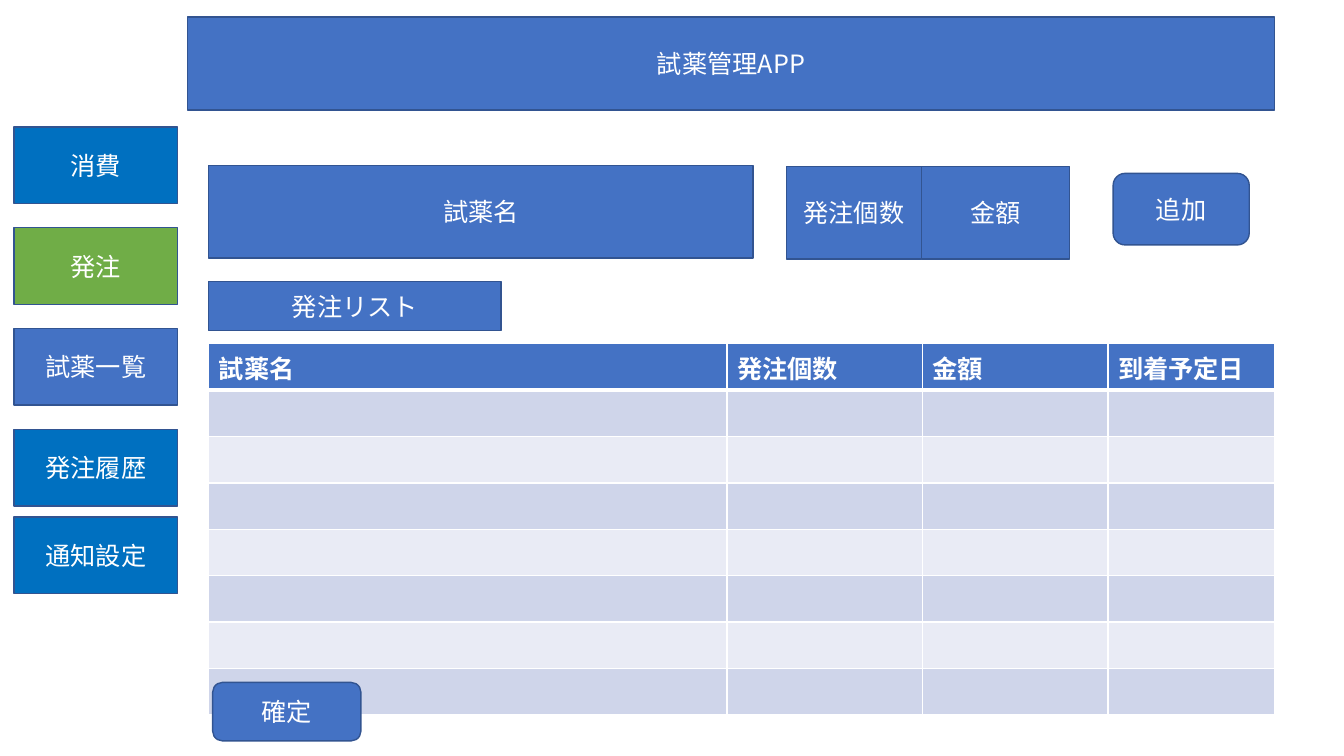
from dataclasses import dataclass

from lxml import etree
from pptx import Presentation
from pptx import util as u
from pptx.dml.color import RGBColor
from pptx.enum import shapes, text
from pptx.oxml import ns

FONT = "Noto Sans CJK JP"
WHITE = RGBColor(0xFF, 0xFF, 0xFF)
BLUE = RGBColor(0x44, 0x72, 0xC4)
BRIGHT_BLUE = RGBColor(0x00, 0x70, 0xC0)
GREEN = RGBColor(0x70, 0xAD, 0x47)
OUTLINE = RGBColor(0x32, 0x54, 0x91)
BANDS = (RGBColor(0xCF, 0xD5, 0xEA), RGBColor(0xE9, 0xEB, 0xF5))

RECT = shapes.MSO_SHAPE.RECTANGLE
ROUNDED = shapes.MSO_SHAPE.ROUNDED_RECTANGLE

FRAME_FORMAT = {
    "word_wrap": True,
    "auto_size": text.MSO_AUTO_SIZE.NONE,
    "vertical_anchor": text.MSO_ANCHOR.MIDDLE,
}
FONT_FORMAT = {"name": FONT, "size": u.Pt(18)}


@dataclass
class Panel:
    label: str
    left: float
    top: float
    width: float
    height: float
    fill: RGBColor = BLUE
    kind: shapes.MSO_SHAPE = RECT


def apply_format(target, values: dict) -> None:
    for name, value in values.items():
        setattr(target, name, value)


def write_span(para, label: str, bold: bool = False) -> None:
    span = para.add_run()
    span.text = label
    apply_format(span.font, {**FONT_FORMAT, "bold": bold})
    span.font.color.rgb = WHITE
    # East Asian characters take their own typeface
    east_asian = etree.SubElement(span.font._element, ns.qn("a:ea"))
    east_asian.set("typeface", FONT)


def format_panel(box, panel: Panel) -> None:
    bounds = {name: u.Inches(getattr(panel, name))
              for name in ("left", "top", "width", "height")}
    apply_format(box, bounds)
    box.fill.solid()
    box.fill.fore_color.rgb = panel.fill
    box.line.color.rgb = OUTLINE
    box.line.width = u.Pt(1)
    box.shadow.inherit = False
    apply_format(box.text_frame, FRAME_FORMAT)
    para = box.text_frame.paragraphs[0]
    para.alignment = text.PP_ALIGN.CENTER
    write_span(para, panel.label)


def add_panel(page, panel: Panel) -> None:
    format_panel(page.shapes.add_shape(panel.kind, 0, 0, 0, 0), panel)


def format_cell(cell, fill: RGBColor, top: float, bottom: float) -> None:
    properties = cell._tc.get_or_add_tcPr()
    for side, points in (("L", 1), ("R", 1), ("T", top), ("B", bottom)):
        border = etree.SubElement(properties, ns.qn(f"a:ln{side}"), w=str(u.Pt(points)))
        paint = etree.SubElement(border, ns.qn("a:solidFill"))
        etree.SubElement(paint, ns.qn("a:srgbClr"), val=str(WHITE))
    cell.fill.solid()
    cell.fill.fore_color.rgb = fill


def add_order_table(page, columns: dict[str, float], row_count: int) -> None:
    row_height = 0.46
    table = page.shapes.add_table(
        row_count, len(columns), u.Inches(2.07), u.Inches(3.41),
        u.Inches(sum(columns.values())), u.Inches(row_height * row_count)).table
    for column, width in zip(table.columns, columns.values()):
        column.width = u.Inches(width)
    for index, row in enumerate(table.rows):
        row.height = u.Inches(row_height)
        fill = BANDS[(index - 1) % 2] if index else BLUE
        for cell in row.cells:
            format_cell(cell, fill, 3 if index == 1 else 1, 1 if index else 3)
    for cell, label in zip(table.rows[0].cells, columns):
        write_span(cell.text_frame.paragraphs[0], label, bold=True)


deck = Presentation()
deck.slide_width, deck.slide_height = u.Inches(13.33), u.Inches(7.5)
page = deck.slides.add_slide(deck.slide_layouts.get_by_name("Title Only"))

# App header
format_panel(page.shapes.title, Panel("試薬管理APP", 1.86, 0.17, 10.78, 0.92))

# Side menu
MENU = (
    ("消費", 1.26, BRIGHT_BLUE),
    ("発注", 2.26, GREEN),
    ("試薬一覧", 3.26, BLUE),
    ("発注履歴", 4.26, BRIGHT_BLUE),
    ("通知設定", 5.13, BRIGHT_BLUE),
)
for label, top, fill in MENU:
    add_panel(page, Panel(label, 0.14, top, 1.62, 0.76, fill))

# Order entry fields and list heading
ENTRY = (
    Panel("試薬名", 2.07, 1.64, 5.4, 0.92),
    Panel("発注個数", 7.8, 1.65, 1.34, 0.92),
    Panel("金額", 9.14, 1.65, 1.47, 0.92),
    Panel("追加", 11.04, 1.72, 1.35, 0.71, kind=ROUNDED),
    Panel("発注リスト", 2.07, 2.79, 2.9, 0.49),
)
for panel in ENTRY:
    add_panel(page, panel)

# Order list with its confirm button on top
add_order_table(
    page, {"試薬名": 5.14, "発注個数": 1.94, "金額": 1.84, "到着予定日": 1.65}, 8)
add_panel(page, Panel("確定", 2.11, 6.77, 1.47, 0.58, kind=ROUNDED))

deck.save("out.pptx")
